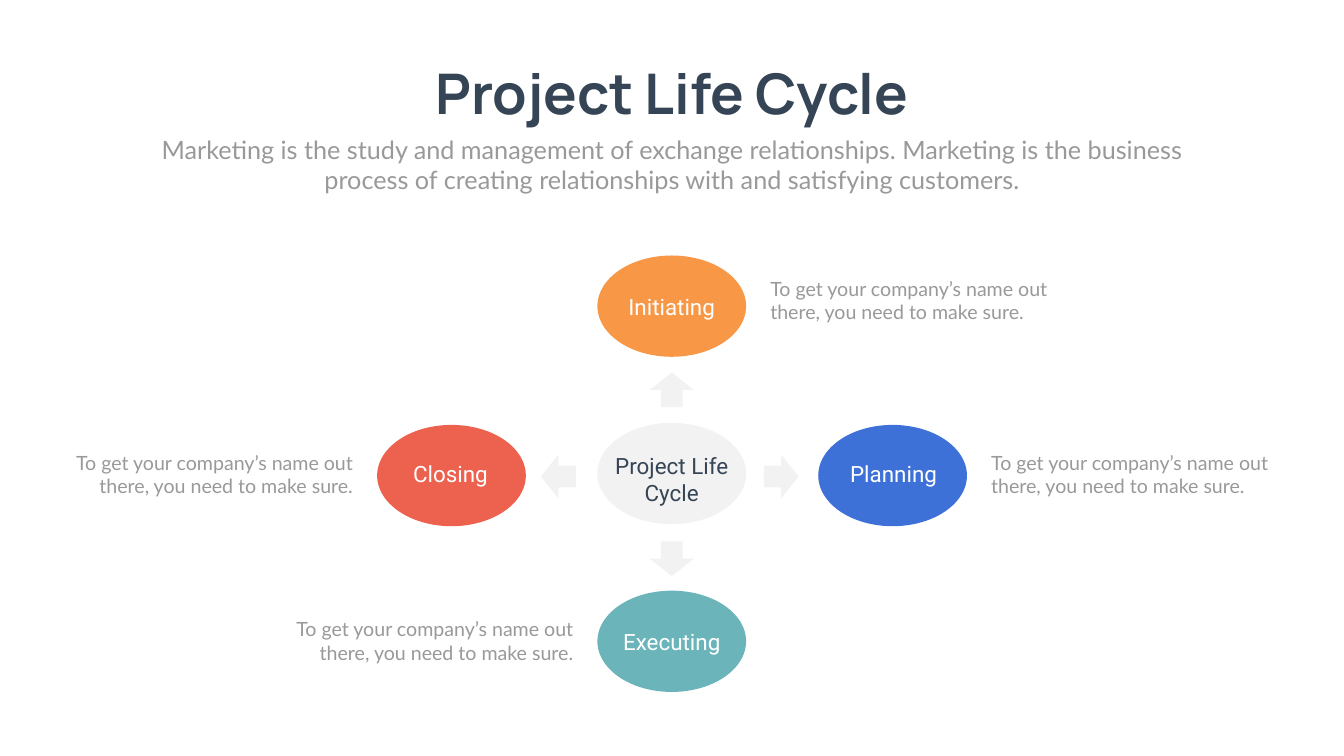
"""Build the Project Life Cycle slide."""
from dataclasses import dataclass

from pptx import Presentation
from pptx.dml.color import RGBColor
from pptx.enum.shapes import MSO_SHAPE
from pptx.enum.text import MSO_AUTO_SIZE, PP_ALIGN
from pptx.slide import Slide
from pptx.util import Pt


@dataclass(frozen=True)
class Style:
    font: str
    size: int
    color: str
    bold: bool = False


@dataclass(frozen=True)
class Theme:
    title: Style = Style("Manrope", 80, "364556", True)
    intro: Style = Style("Lato", 36, "999999")
    note: Style = Style("Lato", 28, "999999")
    label: Style = Style("Roboto", 32, "FFFFFF")
    hub: Style = Style("Roboto", 32, "364556")
    pale: str = "F2F2F2"


@dataclass(frozen=True)
class Box:
    left: float
    top: float
    width: float
    height: float


@dataclass(frozen=True)
class Stage:
    name: str
    color: str
    left: float
    top: float
    shift: float
    drop: float
    side: int
    fall: float
    arrow: tuple[float, float, int]


THEME = Theme()
NOTE = "To get your company’s name out there, you need to make sure."
OVAL_W, OVAL_H = 212.4, 144.7
NOTE_W, NOTE_H = 449.3, 74.9
ARROW_W, ARROW_H = 49.7, 62.6
GAP = 27.5
MID_X = 853.2
STAGES = (
    Stage("Initiating", "F89746", MID_X, 365, 0, 49.7, 1, 26.7, (934.6, 525.6, 270)),
    Stage("Executing", "6AB4BA", MID_X, 843.8, 0, 49.7, -1, 34.6, (934.6, 766.8, 90)),
    Stage("Planning", "3D71D7", 1168.6, 607, 1.4, 46.8, 1, 33.1, (1090.8, 649.4, 0)),
    Stage("Closing", "ED614F", 538.6, 607, -1.4, 46.8, -1, 33.1, (772.6, 649.4, 180)),
)


def place(box: Box) -> tuple[Pt, Pt, Pt, Pt]:
    """Return the box as lengths in points."""
    return Pt(box.left), Pt(box.top), Pt(box.width), Pt(box.height)


def write(slide: Slide, text: str, box: Box, style: Style,
          align: PP_ALIGN = PP_ALIGN.CENTER, wrap: bool = True) -> None:
    """Add one text box."""
    frame = slide.shapes.add_textbox(*place(box)).text_frame
    frame.word_wrap = wrap
    frame.auto_size = MSO_AUTO_SIZE.SHAPE_TO_FIT_TEXT
    para = frame.paragraphs[0]
    para.alignment = align
    run = para.add_run()
    run.text = text
    form = {"name": style.font, "size": Pt(style.size), "bold": style.bold}
    for key, value in form.items():
        setattr(run.font, key, value)
    run.font.color.rgb = RGBColor.from_string(style.color)


def draw(slide: Slide, kind: MSO_SHAPE, box: Box, color: str, angle: int = 0) -> None:
    """Add one plain filled shape."""
    shape = slide.shapes.add_shape(kind, *place(box))
    shape.shadow.inherit = False
    shape.fill.solid()
    shape.fill.fore_color.rgb = RGBColor.from_string(color)
    shape.line.fill.background()
    shape.rotation = angle


def add_stage(slide: Slide, stage: Stage) -> None:
    """Add the oval, label, note and arrow of a stage."""
    draw(slide, MSO_SHAPE.OVAL, Box(stage.left, stage.top, OVAL_W, OVAL_H), stage.color)
    write(slide, stage.name,
          Box(stage.left + stage.shift, stage.top + stage.drop, OVAL_W, 46.1), THEME.label)
    right = stage.side > 0
    left = stage.left + OVAL_W + GAP if right else stage.left - GAP - NOTE_W
    write(slide, NOTE, Box(left, stage.top + stage.fall, NOTE_W, NOTE_H), THEME.note,
          PP_ALIGN.LEFT if right else PP_ALIGN.RIGHT)
    x, y, angle = stage.arrow
    draw(slide, MSO_SHAPE.RIGHT_ARROW, Box(x, y, ARROW_W, ARROW_H), THEME.pale, angle)


def main() -> None:
    """Build and save the deck."""
    deck = Presentation()
    deck.slide_width, deck.slide_height = Pt(1919.5), Pt(1080)
    slide = deck.slides.add_slide(deck.slide_layouts[6])
    write(slide, "Project Life Cycle", Box(601.2, 80.6, 716.4, 104.4), THEME.title, wrap=False)
    write(slide, "Marketing is the study and management of exchange relationships. "
          "Marketing is the business process of creating relationships with and "
          "satisfying customers.", Box(210.2, 187.9, 1499, 94.3), THEME.intro)
    for stage in STAGES:
        add_stage(slide, stage)
    draw(slide, MSO_SHAPE.OVAL, Box(MID_X, 604.1, OVAL_W, OVAL_H), THEME.pale)
    write(slide, "Project Life Cycle", Box(MID_X, 643, OVAL_W, 85), THEME.hub)
    deck.save("out.pptx")


if __name__ == "__main__":
    main()
